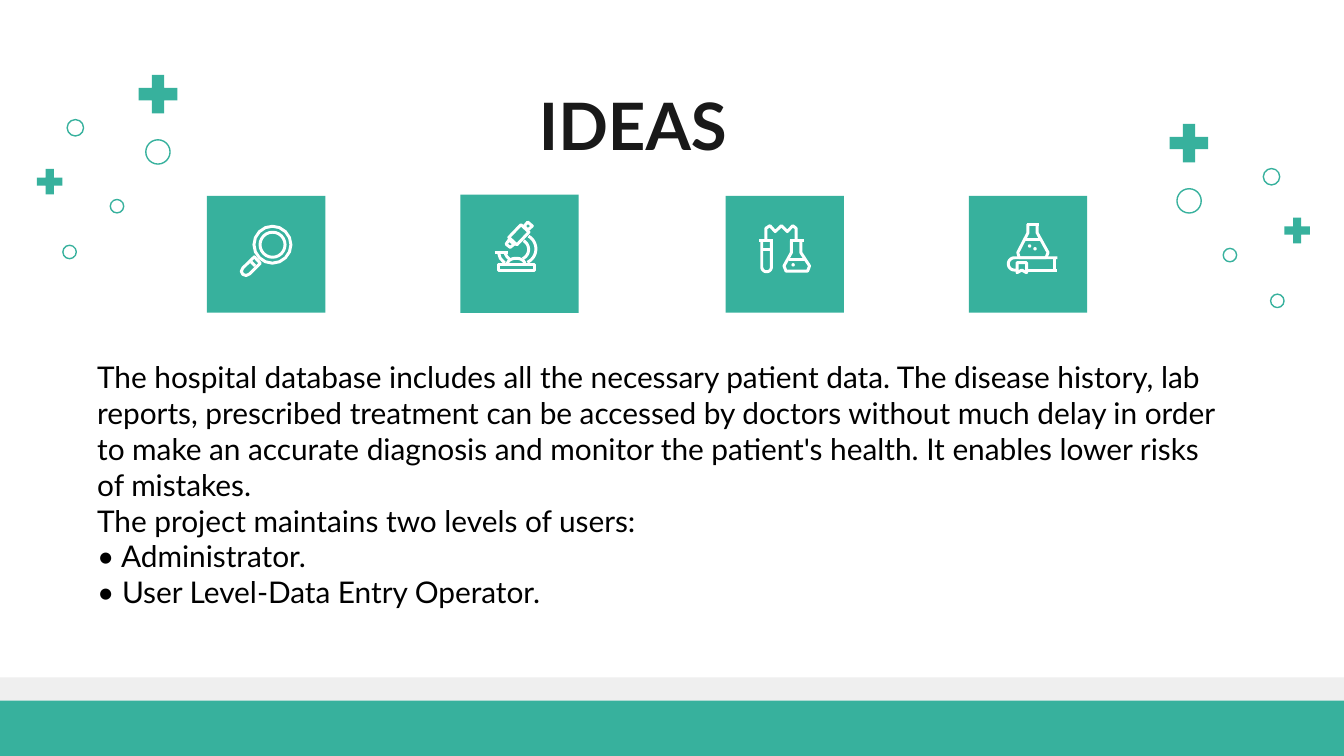
from dataclasses import dataclass
from math import cos, radians, sin

from pptx import Presentation
from pptx.dml.color import RGBColor as RGB
from pptx.enum.shapes import MSO_SHAPE as Kind
from pptx.enum.text import PP_ALIGN as Align
from pptx.util import Pt

HUES = {"teal": "37B19D", "gray": "EFEFEF", "white": "FFFFFF",
        "dark": "191919", "black": "000000"}
PEN = 1.6
STEPS = 16


@dataclass(frozen=True)
class Spot:
    x: float
    y: float
    size: float
    plus: bool = False


@dataclass(frozen=True)
class Tile:
    """A coloured square; its icon is measured from the top left corner."""
    x: float
    y: float
    high: float
    open: tuple = ()    # open strokes
    shut: tuple = ()    # closed outlines
    rings: tuple = ()   # centre x, centre y, radius
    dots: tuple = ()    # centre x, centre y, radius


def hue(name: str) -> RGB:
    return RGB.from_string(HUES[name])


def arc(x: float, y: float, wide: float, high: float, start: int, end: int) -> tuple:
    """Points along an arc; angles in degrees, clockwise from the right."""
    turns = [radians(start + (end - start) * i / STEPS) for i in range(STEPS + 1)]
    return tuple((x + wide * cos(t), y + high * sin(t)) for t in turns)


def style(shape, fill: str = "", line: str = "", width: float = PEN) -> None:
    shape.shadow.inherit = False
    if fill:
        shape.fill.solid()
        shape.fill.fore_color.rgb = hue(fill)
    else:
        shape.fill.background()
    if line:
        shape.line.color.rgb = hue(line)
        shape.line.width = Pt(width)
    else:
        shape.line.fill.background()


def add(shapes, kind: Kind, x: float, y: float, wide: float, high: float, **look):
    shape = shapes.add_shape(kind, Pt(x), Pt(y), Pt(wide), Pt(high))
    style(shape, **look)
    return shape


def disc(shapes, x: float, y: float, rad: float, **look) -> None:
    add(shapes, Kind.OVAL, x - rad, y - rad, 2 * rad, 2 * rad, **look)


def trace(shapes, tile: Tile) -> None:
    """Draw all strokes of the icon as one outline."""
    paths = [(path, False) for path in tile.open] + [(path, True) for path in tile.shut]
    pen = None
    for path, close in paths:
        first, *rest = [(Pt(tile.x + x), Pt(tile.y + y)) for x, y in path]
        if pen is None:
            pen = shapes.build_freeform(*first)
        else:
            pen.move_to(*first)
        pen.add_line_segments(rest, close=close)
    style(pen.convert_to_shape(), line="white")


def draw(shapes, tile: Tile) -> None:
    add(shapes, Kind.RECTANGLE, tile.x, tile.y, 63.4, tile.high, fill="teal")
    icon = shapes.add_group_shape().shapes
    trace(icon, tile)
    for x, y, rad in tile.rings:
        disc(icon, tile.x + x, tile.y + y, rad, line="white")
    for x, y, rad in tile.dots:
        disc(icon, tile.x + x, tile.y + y, rad, fill="white")


def scatter(shapes, left: float, top: float, flip: bool) -> None:
    """Crosses and circles; flip mirrors them left to right."""
    group = shapes.add_group_shape().shapes
    for s in SPOTS:
        x = left + (SPAN - s.x - s.size if flip else s.x)
        box = x, top + s.y, s.size, s.size
        if s.plus:
            add(group, Kind.MATH_PLUS, *box, fill="teal").adjustments[0] = 0.235
        else:
            add(group, Kind.OVAL, *box, line="teal", width=0.75)


def write(shapes, box: tuple, texts: list, look: dict, inset: tuple, align: Align) -> None:
    frame = shapes.add_textbox(*map(Pt, box)).text_frame
    frame.word_wrap = True
    frame.margin_left = frame.margin_right = Pt(inset[0])
    frame.margin_top = frame.margin_bottom = Pt(inset[1])
    for i, text in enumerate(texts):
        para = frame.paragraphs[0] if i == 0 else frame.add_paragraph()
        para.alignment = align
        run = para.add_run()
        run.text = text
        for key, val in look.items():
            if key == "hue":
                run.font.color.rgb = hue(val)
            else:
                setattr(run.font, key, val)


SPAN = 81.4
SPOTS = (Spot(53.3, 0, 28.1, True), Spot(60.8, 38.5, 13), Spot(18.7, 27.7, 8.8),
         Spot(0, 51.6, 18.7, True), Spot(16.4, 95, 7.2), Spot(41.8, 70.5, 7.2))

LENS = Tile(
    110.9, 105, 62.6,
    open=(((23.7, 35.3), (25.9, 37.5)),),
    shut=(((25.4, 32.6), (19.2, 38.6), (18.4, 40.4), (19.2, 42), (21, 42.6),
           (22.8, 41.8), (28.6, 36)),
          arc(35.1, 26.1, 9.9, 9.9, 0, 360)),
    rings=((35.1, 26.1, 6.7),))
SCOPE = Tile(
    246.6, 104.2, 63.4,
    open=(((18.4, 31), (25.3, 31)),
          arc(32.6, 29.2, 7.9, 7.9, -60, 65), arc(31.2, 29.5, 5.4, 5.4, -60, 65),
          ((20.4, 31), (21.4, 34.2), (23.8, 36.8)),
          ((23.7, 31), (25, 33.4), (26.5, 34.8)),
          arc(29.9, 37.4, 4.7, 3.2, 180, 360)),
    shut=(((20.2, 37.4), (39.6, 37.4), (39.6, 41), (20.2, 41)),
          ((36.1, 14.8), (38.6, 16.9), (36.1, 19.1), (34.3, 16.9)),
          ((26, 24.5), (24.5, 26.6), (26.7, 28.4), (28.9, 26.6)),
          ((32.5, 16.2), (36.8, 20.2), (30.3, 27), (26, 23))))
TUBES = Tile(
    388.7, 105, 62.6,
    open=(((18, 23.8), (25.2, 23.8)), ((34.6, 23.8), (42.1, 23.8)),
          ((19.4, 28.8), (24.5, 28.8)), ((33.8, 33.9), (42.5, 33.9)),
          ((19.4, 23.8), *arc(22, 38, 2.6, 2.6, 180, 0), (24.6, 23.8)),
          ((35.3, 23.8), (35.3, 30.3), (31.3, 37.5), (32.4, 40.3), (43.9, 40.3),
           (45, 37.5), (40.3, 30.3), (40.3, 23.8)),
          ((21.6, 23.8), (21.6, 17.3), (23.8, 15.9), (26.6, 19.1), (29.9, 15.9),
           (33.1, 19.1), (36, 15.9), (37.8, 17.3), (37.8, 23.8))),
    dots=((36.2, 36.9, 0.9),))
BOOK = Tile(
    519, 105, 62.6,
    open=(((31, 15.1), (37.8, 15.1)), ((30, 23.1), (38.6, 23.1)),
          ((45.7, 33.1), (45.7, 39.7)), ((31, 39.7), (47.5, 39.7)),
          ((31.7, 15.1), (31.7, 19.8), (26.3, 30.3), (27, 33.1), (41.4, 33.1),
           (42.5, 30.3), (36.7, 19.8), (36.7, 15.1)),
          ((47.5, 33.1), *arc(24.5, 36.4, 3.3, 3.3, 270, 90), (25.9, 39.7))),
    shut=(((25.9, 35.7), (31, 35.7), (31, 41.1), (28.4, 39.7), (25.9, 41.1)),),
    dots=((32.6, 26.8, 0.9), (35.5, 28.3, 0.9)))

BODY = [
    "The hospital database includes all the necessary patient data. The disease "
    "history, lab reports, prescribed treatment can be accessed by doctors without "
    "much delay in order to make an accurate diagnosis and monitor the patient's "
    "health. It enables lower risks of mistakes.",
    "The project maintains two levels of users:",
    "• Administrator.",
    "• User Level-Data Entry Operator.",
]


def main() -> None:
    deck = Presentation()
    deck.slide_width, deck.slide_height = Pt(720), Pt(405)
    shapes = deck.slides.add_slide(deck.slide_layouts[6]).shapes
    add(shapes, Kind.RECTANGLE, 0, 362.9, 721.4, 27.4, fill="gray")
    add(shapes, Kind.RECTANGLE, 0, 375.4, 721.4, 29.6, fill="teal")
    for tile in (LENS, SCOPE, TUBES, BOOK):
        draw(shapes, tile)
    scatter(shapes, 17.3, 36.4, False)
    scatter(shapes, 622.9, 62.6, True)
    write(shapes, (66.2, 38.2, 545.8, 45.4), ["IDEAS"],
          {"name": "Lato", "size": Pt(35), "bold": True, "hue": "dark"},
          (7.2, 7.2), Align.CENTER)
    write(shapes, (45, 188.8, 617, 143.3), BODY,
          {"name": "Lato", "size": Pt(16), "hue": "black"}, (7.2, 3.6), Align.LEFT)
    deck.save("out.pptx")


if __name__ == "__main__":
    main()
